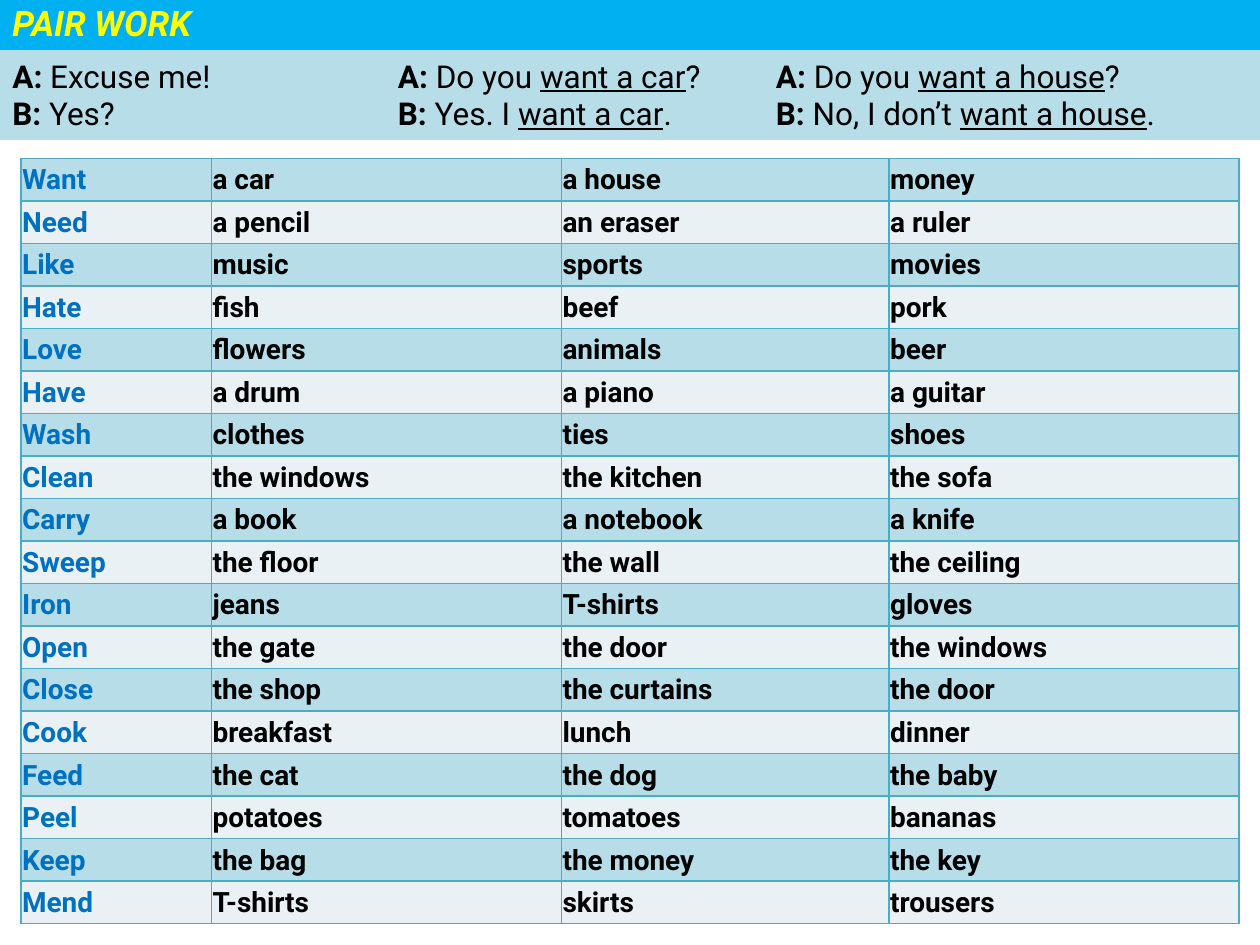
import dataclasses

import lxml.etree
import pptx
import pptx.dml.color
import pptx.enum.shapes
import pptx.enum.text
import pptx.oxml
import pptx.oxml.ns
import pptx.util

Pt = pptx.util.Pt
Color = pptx.dml.color.RGBColor.from_string
Anchor = pptx.enum.text.MSO_ANCHOR
Align = pptx.enum.text.PP_ALIGN


@dataclasses.dataclass(frozen=True)
class Theme:
    face: str = "Roboto"
    title_bar: str = "00B0F0"
    title_text: str = "FFFF00"
    dark_band: str = "B7DEE8"
    light_band: str = "E9F1F5"
    border: str = "4BACC6"
    verb: str = "0070C0"
    text: str = "000000"
    title_size: int = 20
    dialogue_size: int = 18
    table_size: int = 16


THEME = Theme()


def add_run(paragraph, text, size, color, **styles):
    run = paragraph.add_run()
    run.text = text
    run.font.color.rgb = Color(color)
    for name, value in {"name": THEME.face, "size": Pt(size), **styles}.items():
        setattr(run.font, name, value)


def add_banner(top, height, fill, anchor):
    """Add a full-width coloured strip and return its text frame."""
    banner = slide.shapes.add_shape(
        pptx.enum.shapes.MSO_SHAPE.RECTANGLE, 0, Pt(top), SLIDE_WIDTH, Pt(height))
    banner.shadow.inherit = False
    banner.fill.solid()
    banner.fill.fore_color.rgb = Color(fill)
    banner.line.fill.background()
    banner.text_frame.word_wrap = True
    banner.text_frame.vertical_anchor = anchor
    return banner.text_frame


SLIDE_WIDTH = Pt(720)
deck = pptx.Presentation()
deck.slide_width, deck.slide_height = SLIDE_WIDTH, Pt(540)
slide = deck.slides.add_slide(deck.slide_layouts[6])

# Title
title = add_banner(-2.9, 31.7, THEME.title_bar, Anchor.MIDDLE).paragraphs[0]
title.alignment = Align.JUSTIFY
add_run(title, "PAIR WORK", THEME.title_size, THEME.title_text, bold=True, italic=True)

# Dialogue: speaker, opening, underlined phrase, ending
DIALOGUE = [
    [("A:", " Excuse me!", "", ""),
     ("A:", " Do you ", "want a car", "?"),
     ("A:", " Do you ", "want a house", "?")],
    [("B:", " Yes?", "", ""),
     ("B:", " Yes. I ", "want a car", "."),
     ("B:", " No, I don’t ", "want a house", ".")],
]
EXCHANGE_STOPS = [220.3, 436.3]

dialogue = add_banner(28.8, 51.1, THEME.dark_band, Anchor.TOP)
for line_number, turns in enumerate(DIALOGUE):
    line = dialogue.add_paragraph() if line_number else dialogue.paragraphs[0]
    line.alignment = Align.LEFT
    stops = lxml.etree.SubElement(line._p.get_or_add_pPr(), pptx.oxml.ns.qn("a:tabLst"))
    for stop in EXCHANGE_STOPS:
        lxml.etree.SubElement(stops, pptx.oxml.ns.qn("a:tab"), pos=str(Pt(stop)), algn="l")
    for turn_number, (speaker, opening, phrase, ending) in enumerate(turns):
        if turn_number < len(turns) - 1:
            ending += "\t"
        for text, styles in [(speaker, {"bold": True}), (opening, {}),
                             (phrase, {"underline": True}), (ending, {})]:
            if text:
                add_run(line, text, THEME.dialogue_size, THEME.text, **styles)

# Verbs and their objects
PHRASES = [
    ("Want", "a car", "a house", "money"),
    ("Need", "a pencil", "an eraser", "a ruler"),
    ("Like", "music", "sports", "movies"),
    ("Hate", "fish", "beef", "pork"),
    ("Love", "flowers", "animals", "beer"),
    ("Have", "a drum", "a piano", "a guitar"),
    ("Wash", "clothes", "ties", "shoes"),
    ("Clean", "the windows", "the kitchen", "the sofa"),
    ("Carry", "a book", "a notebook", "a knife"),
    ("Sweep", "the floor", "the wall", "the ceiling"),
    ("Iron", "jeans", "T-shirts", "gloves"),
    ("Open", "the gate", "the door", "the windows"),
    ("Close", "the shop", "the curtains", "the door"),
    ("Cook", "breakfast", "lunch", "dinner"),
    ("Feed", "the cat", "the dog", "the baby"),
    ("Peel", "potatoes", "tomatoes", "bananas"),
    ("Keep", "the bag", "the money", "the key"),
    ("Mend", "T-shirts", "skirts", "trousers"),
]
COLUMN_WIDTHS = [108.8, 200, 187.2, 200]
ROW_HEIGHT = 24.32
CELL_FORMAT = {"margin_left": Pt(0.72), "margin_right": Pt(0.72), "margin_top": Pt(0.72),
               "margin_bottom": 0, "vertical_anchor": Anchor.MIDDLE}

phrase_table = slide.shapes.add_table(
    len(PHRASES), len(COLUMN_WIDTHS), Pt(12), Pt(90.5),
    Pt(sum(COLUMN_WIDTHS)), Pt(ROW_HEIGHT * len(PHRASES))).table
phrase_table.first_row = phrase_table.horz_banding = False
for column, width in zip(phrase_table.columns, COLUMN_WIDTHS):
    column.width = Pt(width)

for row_number, words in enumerate(PHRASES):
    phrase_table.rows[row_number].height = Pt(ROW_HEIGHT)
    for column_number, word in enumerate(words):
        cell = phrase_table.cell(row_number, column_number)
        for name, value in CELL_FORMAT.items():
            setattr(cell, name, value)
        for side in "LRTB":
            cell._tc.get_or_add_tcPr().append(pptx.oxml.parse_xml(
                f'<a:ln{side} {pptx.oxml.ns.nsdecls("a")} w="{Pt(1)}"><a:solidFill>'
                f'<a:srgbClr val="{THEME.border}"/></a:solidFill></a:ln{side}>'))
        cell.fill.solid()
        cell.fill.fore_color.rgb = Color(THEME.light_band if row_number % 2 else THEME.dark_band)
        add_run(cell.text_frame.paragraphs[0], word, THEME.table_size,
                THEME.text if column_number else THEME.verb, bold=True)

deck.save("out.pptx")
